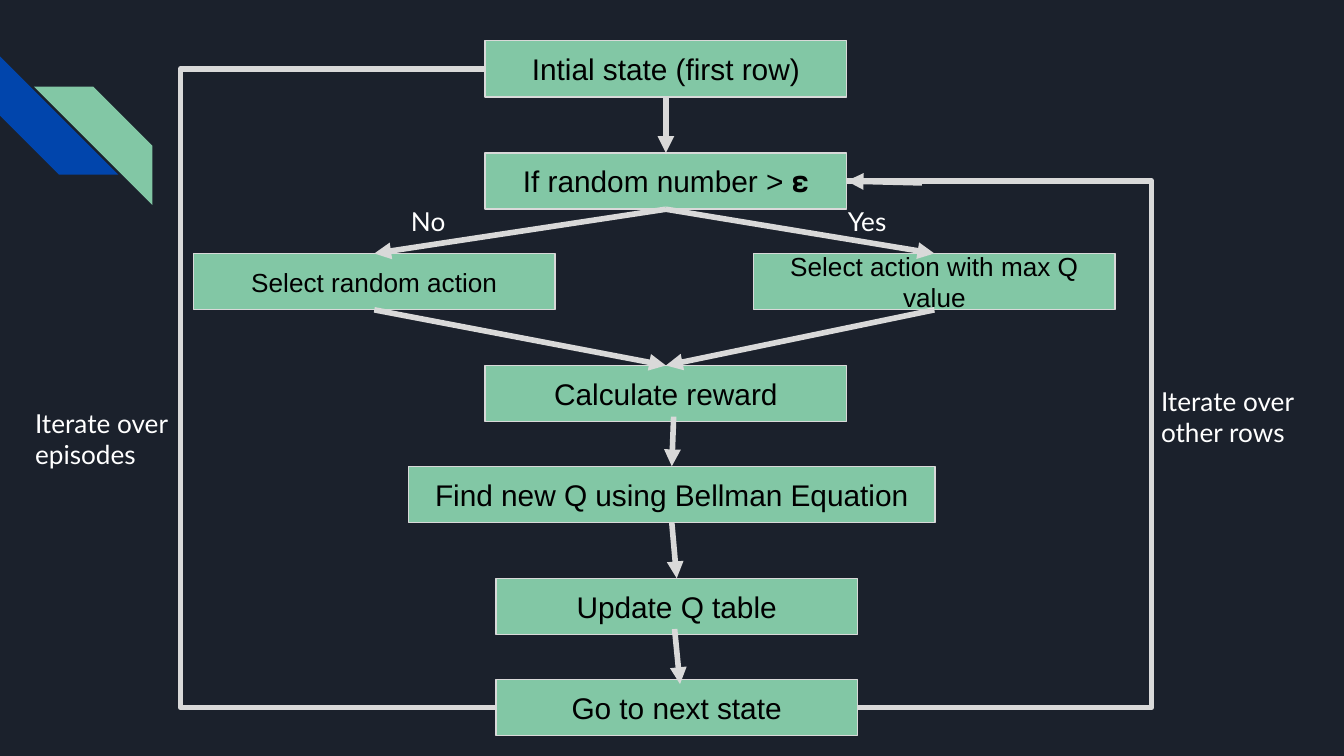
from dataclasses import dataclass

from lxml import etree
from pptx import Presentation
from pptx.dml.color import RGBColor
from pptx.enum import shapes, text
from pptx.oxml import ns
from pptx.util import Pt

NAVY = RGBColor(0x1B, 0x21, 0x2C)
BLUE = RGBColor(0x01, 0x45, 0xAC)
GREEN = RGBColor(0x82, 0xC7, 0xA5)
GREY = RGBColor(0xD9, 0xD9, 0xD9)
BLACK = RGBColor(0, 0, 0)
WHITE = RGBColor(0xFF, 0xFF, 0xFF)

BOX_W, BOX_H = 193.7, 30.2
STRIPE = 63.4
INSET = 7.2

Point = tuple[float, float]


@dataclass(frozen=True)
class Box:
    label: str
    x: float
    y: float
    w: float = BOX_W
    size: float = 16

    @property
    def top(self) -> Point:
        return self.x + self.w / 2, self.y

    @property
    def bottom(self) -> Point:
        return self.x + self.w / 2, self.y + BOX_H

    @property
    def left(self) -> Point:
        return self.x, self.y + BOX_H / 2

    @property
    def right(self) -> Point:
        return self.x + self.w, self.y + BOX_H / 2


@dataclass(frozen=True)
class Label:
    label: str
    x: float
    y: float
    w: float
    h: float


def write(sp, label: str, *, font: str, size: float, color: RGBColor,
          align=text.PP_ALIGN.LEFT, anchor=text.MSO_ANCHOR.TOP) -> None:
    tf = sp.text_frame
    tf.word_wrap = True
    tf.vertical_anchor = anchor
    tf.margin_left = tf.margin_right = tf.margin_top = tf.margin_bottom = Pt(INSET)
    p = tf.paragraphs[0]
    p.alignment = align
    r = p.add_run()
    r.text = label
    r.font.name, r.font.size = font, Pt(size)
    r.font.color.rgb = color


def add_filled(s, kind, x: float, y: float, w: float, h: float, color: RGBColor):
    sp = s.shapes.add_shape(kind, Pt(x), Pt(y), Pt(w), Pt(h))
    sp.shadow.inherit = False
    sp.fill.solid()
    sp.fill.fore_color.rgb = color
    sp.line.fill.background()
    return sp


def add_stripe(s, x: float, y: float, color: RGBColor, rotation: float) -> None:
    sp = add_filled(s, shapes.MSO_SHAPE.DIAGONAL_STRIPE, x, y, STRIPE, STRIPE, color)
    sp.rotation = rotation


def add_box(s, box: Box) -> None:
    sp = add_filled(s, shapes.MSO_SHAPE.RECTANGLE, box.x, box.y, box.w, BOX_H, GREEN)
    sp.line.color.rgb, sp.line.width = GREY, Pt(0.75)
    write(sp, box.label, font="Arial", size=box.size, color=BLACK,
          align=text.PP_ALIGN.CENTER, anchor=text.MSO_ANCHOR.MIDDLE)


def add_label(s, item: Label) -> None:
    sp = s.shapes.add_textbox(Pt(item.x), Pt(item.y), Pt(item.w), Pt(item.h))
    write(sp, item.label, font="Lato", size=14, color=WHITE)


def add_line(s, kind, start: Point, end: Point):
    c = s.shapes.add_connector(kind, *(Pt(v) for v in start + end))
    c.line.color.rgb, c.line.width = GREY, Pt(3)
    etree.SubElement(c._element.spPr, ns.qn("a:effectLst"))
    return c


def add_arrow(s, start: Point, end: Point) -> None:
    c = add_line(s, shapes.MSO_CONNECTOR.STRAIGHT, start, end)
    etree.SubElement(c.line._get_or_add_ln(), ns.qn("a:tailEnd"), type="triangle")


def add_loop(s, start: Point, end: Point, bend_x: float) -> None:
    """Elbow line whose vertical part runs at bend_x."""
    c = add_line(s, shapes.MSO_CONNECTOR.ELBOW, start, end)
    share = round((bend_x - start[0]) / (end[0] - start[0]) * 100000)
    geom = c._element.spPr.find(ns.qn("a:prstGeom"))
    guides = geom.find(ns.qn("a:avLst"))
    if guides is None:
        guides = etree.SubElement(geom, ns.qn("a:avLst"))
    etree.SubElement(guides, ns.qn("a:gd"), name="adj1", fmla=f"val {share}")


def main() -> None:
    prs = Presentation()
    prs.slide_width, prs.slide_height = Pt(720), Pt(405)
    s = prs.slides.add_slide(prs.slide_layouts[6])
    s.background.fill.solid()
    s.background.fill.fore_color.rgb = NAVY

    # Corner decoration
    add_stripe(s, 0, 30.2, BLUE, 270)
    add_stripe(s, 18.2, 46.4, GREEN, 90)

    # Steps of the algorithm
    initial = Box("Intial state (first row)", 259.9, 21.8)
    decision = Box("If random number > 𝛆", 259.9, 81.9)
    explore = Box("Select random action", 103.7, 135.8, size=14)
    exploit = Box("Select action with max Q value", 403.7, 135.8, size=14)
    reward = Box("Calculate reward", 259.9, 195.8)
    bellman = Box("Find new Q using Bellman Equation", 218.8, 249.8, w=282.2)
    update = Box("Update Q table", 265.7, 309.8)
    following = Box("Go to next state", 265.7, 363.9)
    for box in (initial, decision, explore, exploit, reward, bellman, update, following):
        add_box(s, box)

    # Flow between steps
    for start, end in (
        (initial.bottom, decision.top),
        (decision.bottom, explore.top),
        (decision.bottom, exploit.top),
        (explore.bottom, reward.top),
        (exploit.bottom, reward.top),
        ((360.9, 223.2), bellman.top),
        (bellman.bottom, update.top),
        ((361.4, 337), (364.3, 366.5)),
        ((493.9, 98), decision.right),
    ):
        add_arrow(s, start, end)

    # Loops back over rows and episodes
    add_loop(s, following.right, decision.right, 616.7)
    add_loop(s, following.left, initial.left, 97)

    # Branch and loop labels
    for item in (
        Label("No", 213.1, 103, 74.2, 23.8),
        Label("Yes", 447.1, 103, 74.2, 23.8),
        Label("Iterate over other rows", 614.9, 199.2, 108.7, 62.6),
        Label("Iterate over episodes", 11.7, 211, 98.6, 62.6),
    ):
        add_label(s, item)

    prs.save("out.pptx")


if __name__ == "__main__":
    main()
